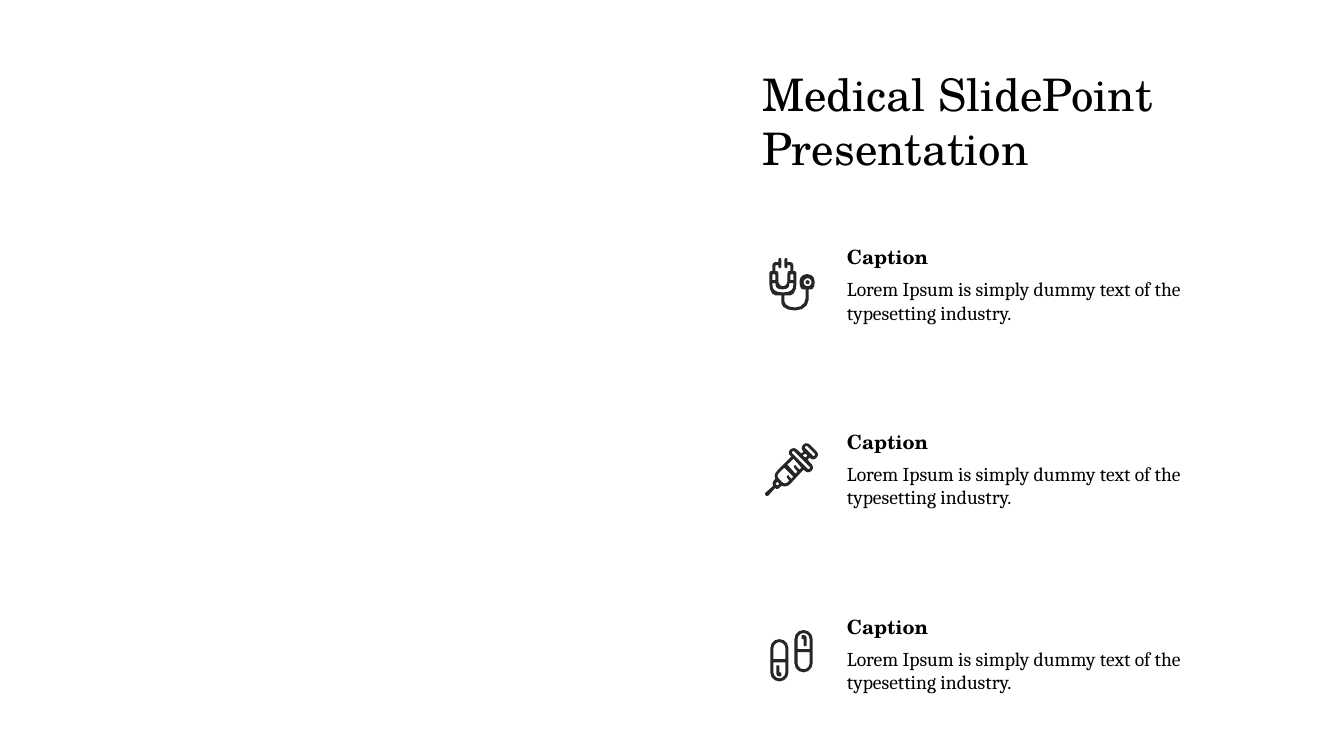
from dataclasses import dataclass
from math import dist

from pptx import Presentation
from pptx.dml.color import RGBColor
from pptx.enum.text import MSO_AUTO_SIZE as AutoSize
from pptx.util import Inches, Pt


@dataclass(frozen=True)
class Theme:
    text: RGBColor = RGBColor(0, 0, 0)
    icon: RGBColor = RGBColor(0x26, 0x26, 0x26)
    heading_font: str = "TeX Gyre Schola"
    body_font: str = "Cambria"
    title_size: Pt = Pt(32)
    body_size: Pt = Pt(14)


THEME = Theme()
FIRST_ROW, LAST_ROW = 2.43, 6.1
PILL_WIDTH, PILL_HEIGHT = 0.18, 0.42
CURVE_STEPS = (0, 0.33, 0.67, 1)
ARC_HANDLE = 0.55


def add_run(paragraph, text, font, size, bold=False):
    run = paragraph.add_run()
    run.text = text
    run.font.name = font
    run.font.size = size
    run.font.bold = bold
    run.font.color.rgb = THEME.text


def add_text_box(slide, left, top, width, height):
    shape = slide.shapes.add_textbox(Inches(left), Inches(top), Inches(width), Inches(height))
    frame = shape.text_frame
    frame.word_wrap = True
    frame.auto_size = AutoSize.SHAPE_TO_FIT_TEXT
    return frame


def add_title(slide, text):
    frame = add_text_box(slide, 7.46, 0.61, 5.88, 1.18)
    add_run(frame.paragraphs[0], text, THEME.heading_font, THEME.title_size)


def add_caption(slide, top, heading, body):
    frame = add_text_box(slide, 8.4, top, 3.72, 0.79)
    frame.margin_left = frame.margin_right = frame.margin_top = frame.margin_bottom = 0
    heading_paragraph = frame.paragraphs[0]
    body_paragraph = frame.add_paragraph()
    for paragraph in (heading_paragraph, body_paragraph):
        paragraph.space_before = Pt(6)
    add_run(heading_paragraph, heading, THEME.heading_font, THEME.body_size, bold=True)
    add_run(body_paragraph, body, THEME.body_font, THEME.body_size)


def toward(start, end, share):
    return tuple(a + (b - a) * share for a, b in zip(start, end))


def round_corner(before, corner, after, radius):
    ends = []
    for neighbour in (before, after):
        length = dist(corner, neighbour)
        ends.append(toward(corner, neighbour, min(radius, length / 2) / length))
    start, end = ends
    first = toward(start, corner, ARC_HANDLE)
    second = toward(end, corner, ARC_HANDLE)
    for t in CURVE_STEPS:
        u = 1 - t
        weights = (u ** 3, 3 * u * u * t, 3 * u * t * t, t ** 3)
        yield tuple(sum(weight * value for weight, value in zip(weights, values))
                    for values in zip(start, first, second, end))


def round_contour(corners):
    points = []
    for index, (x, y, *radius) in enumerate(corners):
        before = corners[index - 1][:2]
        after = corners[(index + 1) % len(corners)][:2]
        points += round_corner(before, (x, y), after, radius[0]) if radius else [(x, y)]
    return [(Inches(x), Inches(y)) for x, y in points]


def add_outline(slide, *contours):
    start, *rest = round_contour(contours[0])
    builder = slide.shapes.build_freeform(*start)
    builder.add_line_segments(rest)
    for contour in contours[1:]:
        start, *rest = round_contour(contour)
        builder.move_to(*start)
        builder.add_line_segments(rest)
    shape = builder.convert_to_shape()
    shape.shadow.inherit = False
    shape.fill.solid()
    shape.fill.fore_color.rgb = THEME.icon
    shape.line.fill.background()


def box(left, top, right, bottom, top_radius, bottom_radius):
    return [(left, top, top_radius), (right, top, top_radius),
            (right, bottom, bottom_radius), (left, bottom, bottom_radius)]


def circle(x, y, radius):
    return box(x - radius, y - radius, x + radius, y + radius, radius, radius)


def add_stethoscope(slide):
    tubing = [
        (7.75, 2.56, 0.02), (7.75, 2.66, 0.02), (7.72, 2.66, 0.02), (7.72, 2.63),
        (7.69, 2.63, 0.01), (7.69, 2.69), (7.72, 2.69, 0.03), (7.72, 2.84, 0.05),
        (7.81, 2.84, 0.05), (7.81, 2.69, 0.03), (7.84, 2.69), (7.84, 2.63, 0.01),
        (7.81, 2.63), (7.81, 2.66, 0.02), (7.78, 2.66, 0.02), (7.78, 2.56, 0.02),
        (7.81, 2.56, 0.02), (7.81, 2.6), (7.87, 2.6, 0.04), (7.87, 2.69),
        (7.9, 2.69, 0.03), (7.9, 2.93, 0.12), (7.78, 2.93), (7.78, 3.05, 0.1),
        (7.99, 3.05, 0.1), (7.99, 2.87), (7.93, 2.87, 0.07), (7.93, 2.72, 0.07),
        (8.08, 2.72, 0.07), (8.08, 2.87, 0.07), (8.02, 2.87), (8.02, 3.08, 0.13),
        (7.75, 3.08, 0.13), (7.75, 2.93), (7.63, 2.93, 0.12), (7.63, 2.69, 0.03),
        (7.66, 2.69), (7.66, 2.6, 0.04), (7.72, 2.6), (7.72, 2.56, 0.02)]
    bowl = [
        (7.87, 2.81), (7.86, 2.9, 0.08), (7.67, 2.9, 0.08), (7.66, 2.81),
        (7.69, 2.81), (7.7, 2.87, 0.05), (7.82, 2.87, 0.05), (7.83, 2.81)]
    earpads = [box(left, 2.72, left + 0.03, 2.78, 0.01, 0) for left in (7.66, 7.84)]
    add_outline(slide, tubing, bowl, *earpads, circle(8.01, 2.8, 0.04))
    add_outline(slide, circle(8.01, 2.8, 0.02))


def add_syringe(slide):
    body = [
        (8, 4.38, 0.04), (8.13, 4.51, 0.04), (8.07, 4.57, 0.04), (8.03, 4.54),
        (8.01, 4.56), (8.08, 4.64, 0.04), (8.02, 4.7, 0.04), (7.97, 4.66), (7.84, 4.8),
        (7.8, 4.83, 0.03), (7.75, 4.82), (7.71, 4.86, 0.03), (7.69, 4.84),
        (7.61, 4.93, 0.02), (7.58, 4.9, 0.02), (7.67, 4.82), (7.66, 4.79, 0.02),
        (7.69, 4.75), (7.68, 4.71, 0.03), (7.71, 4.67), (7.85, 4.53),
        (7.81, 4.49, 0.04), (7.87, 4.43, 0.04), (7.95, 4.5), (7.97, 4.48), (7.94, 4.44, 0.04)]
    plunger = [(8, 4.42, 0.01), (8.09, 4.51, 0.01), (8.07, 4.53, 0.01), (7.98, 4.44, 0.01)]
    rod = [(7.99, 4.5), (8.01, 4.52), (7.99, 4.54), (7.96, 4.52)]
    flange = [(7.87, 4.47, 0.01), (8.04, 4.64, 0.01), (8.02, 4.66, 0.01), (7.85, 4.49, 0.01)]
    upper_barrel = [
        (7.87, 4.55), (7.95, 4.64), (7.93, 4.66), (7.9, 4.63), (7.89, 4.61, 0.01),
        (7.87, 4.63, 0.01), (7.91, 4.68), (7.89, 4.7), (7.81, 4.61)]
    lower_barrel = [
        (7.78, 4.64), (7.87, 4.73), (7.85, 4.75), (7.83, 4.73), (7.82, 4.71, 0.01),
        (7.8, 4.73, 0.01), (7.83, 4.77), (7.78, 4.81, 0.04), (7.7, 4.72, 0.03)]
    hub = [(7.71, 4.78), (7.73, 4.8), (7.71, 4.82, 0.01), (7.69, 4.8, 0.01)]
    add_outline(slide, body, plunger, rod, flange, upper_barrel, lower_barrel, hub)


def add_pill(slide, left, top, flipped=False):
    capsule = box(0, 0, PILL_WIDTH, PILL_HEIGHT, 0.09, 0.09)
    upper_half = box(0.03, 0.03, 0.15, 0.2, 0.06, 0)
    lower_half = box(0.03, 0.23, 0.15, 0.39, 0, 0.06)
    glint = [(0.06, 0.26, 0.01), (0.09, 0.26, 0.01), (0.09, 0.33),
             (0.11, 0.33, 0.01), (0.11, 0.37, 0.01), (0.06, 0.37, 0.03)]

    def place(contour):
        return [(left + (PILL_WIDTH - x if flipped else x),
                 top + (PILL_HEIGHT - y if flipped else y), *radius)
                for x, y, *radius in contour]

    add_outline(slide, *map(place, (capsule, upper_half, lower_half)))
    add_outline(slide, place(glint))


def add_pills(slide):
    add_pill(slide, 7.64, 6.34)
    add_pill(slide, 7.88, 6.25, flipped=True)


def main():
    presentation = Presentation()
    presentation.slide_width = Inches(13.33)
    presentation.slide_height = Inches(7.5)
    slide = presentation.slides.add_slide(presentation.slide_layouts[6])
    add_title(slide, "Medical SlidePoint Presentation")
    icons = (add_stethoscope, add_syringe, add_pills)
    row_gap = (LAST_ROW - FIRST_ROW) / (len(icons) - 1)
    for row, add_icon in enumerate(icons):
        add_icon(slide)
        add_caption(slide, FIRST_ROW + row * row_gap, "Caption",
                    "Lorem Ipsum is simply dummy text of the typesetting industry.")
    presentation.save("out.pptx")


if __name__ == "__main__":
    main()
